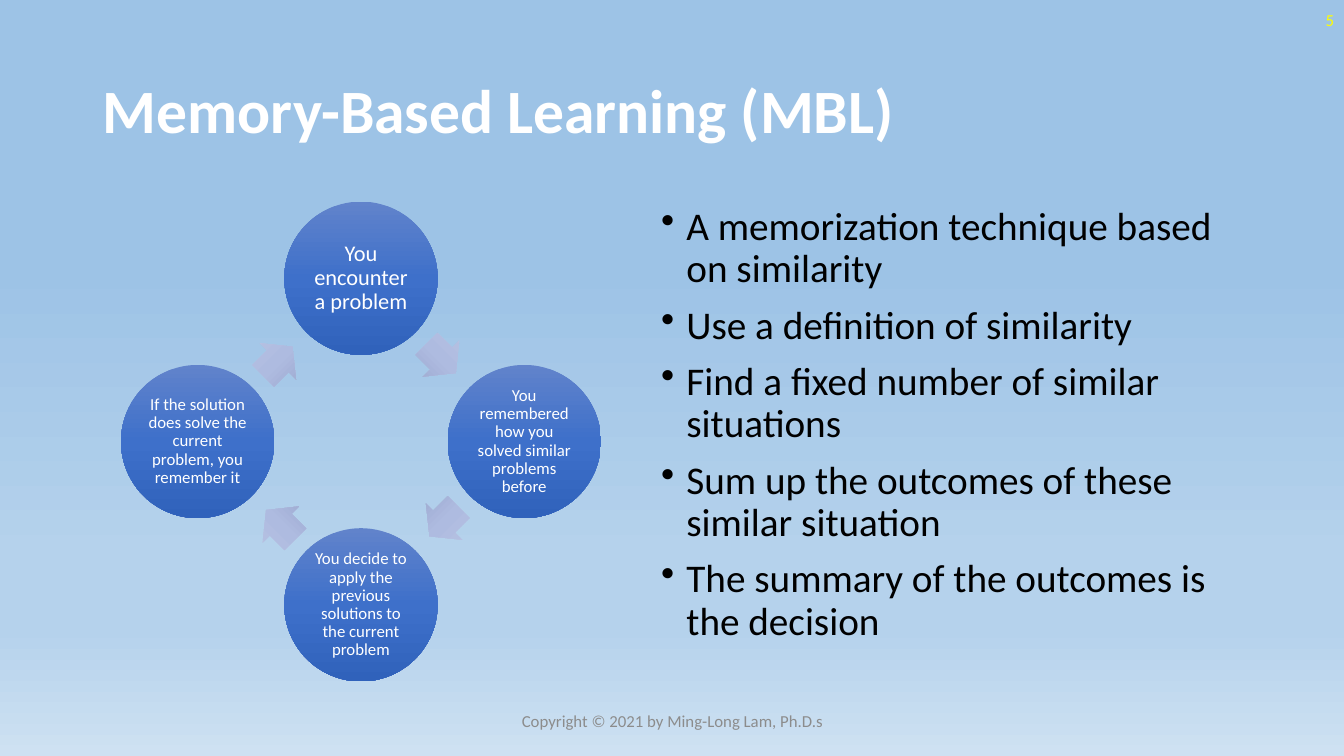
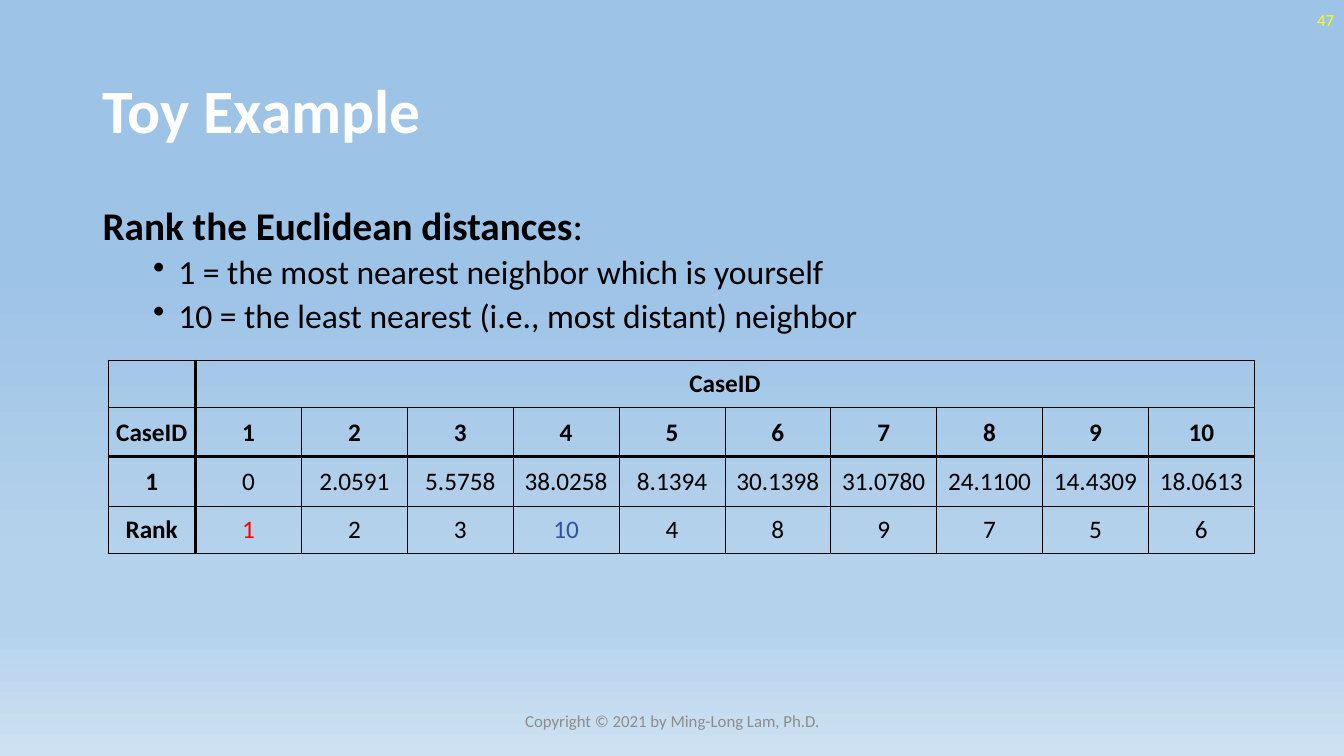
"""Build two slides on memory-based learning: a cycle with bullets and a ranking table."""
import math

import pptx
import pptx.dml.color
import pptx.enum.shapes
import pptx.enum.text
import pptx.oxml
import pptx.oxml.ns
import pptx.util

Inches = pptx.util.Inches
Pt = pptx.util.Pt
ALIGN = pptx.enum.text.PP_ALIGN
ANCHOR = pptx.enum.text.MSO_ANCHOR
SHAPE = pptx.enum.shapes.MSO_SHAPE

COLORS = {
    "white": "FFFFFF",
    "black": "000000",
    "number": "FFFF00",
    "footer": "8C8C8C",
    "nearest": "FF0000",
    "farthest": "2F5597",
}
GRADIENTS = {
    "background": [(35, "9DC3E6"), (74, "B5D2EC"), (83, "B5D2EC"), (100, "CEE1F2")],
    "circle": [(0, "6183CB"), (50, "3E70CA"), (100, "3062BB")],
    "arrow": [(0, "BBC5E3"), (50, "AEBBE0"), (100, "98A4CB")],
}
FONTS = {
    "title": {"size": Pt(44), "bold": True},
    "small": {"size": Pt(12)},
    "large": {"size": Pt(28)},
    "heading": {"size": Pt(28), "bold": True},
    "medium": {"size": Pt(24)},
    "cell": {"size": Pt(18), "bold": False},
    "header": {"size": Pt(18), "bold": True},
    "step": {"size": Pt(16)},
}
TIGHT = {"line_spacing": 0.9}
CENTERED = {"alignment": ALIGN.CENTER}
BULLET = {"line_spacing": 0.9, "space_before": Pt(10)}
SUB_BULLET = {"line_spacing": 0.9, "space_before": Pt(5)}

CYCLE_STEPS = [
    ("You encounter a problem", "step"),
    ("You remembered how you solved similar problems before", "small"),
    ("You decide to apply the previous solutions to the current problem", "small"),
    ("If the solution does solve the current problem, you remember it", "small"),
]
CYCLE_CENTER = (3.58, 4.38)
CYCLE_RADIUS = 1.62
CIRCLE_SIZE = 1.52
ARROW_SIZE = (0.41, 0.51)
ARROW_SETBACK = 0.02

MBL_POINTS = [
    "A memorization technique based on similarity",
    "Use a definition of similarity",
    "Find a fixed number of similar situations",
    "Sum up the outcomes of these similar situation",
    "The summary of the outcomes is the decision",
]
RANK_HEADING = [("Rank the Euclidean distances", "heading"), (":", "large")]
RANK_POINTS = [
    "1 = the most nearest neighbor which is yourself",
    "10 = the least nearest (i.e., most distant) neighbor",
]
DISTANCE_ROWS = [
    ["", "CaseID"] + [""] * 9,
    ["CaseID"] + [str(case) for case in range(1, 11)],
    ["1", "0", "2.0591", "5.5758", "38.0258", "8.1394",
     "30.1398", "31.0780", "24.1100", "14.4309", "18.0613"],
    ["Rank", "1", "2", "3", "10", "4", "8", "9", "7", "5", "6"],
]
COLUMN_WIDTHS = [0.87] + [1.05] * 10
ROW_HEIGHTS = [0.47, 0.49, 0.49, 0.47]
RANK_COLORS = {(3, 1): "nearest", (3, 4): "farthest"}
HEADER_ROWS = 2


def apply_format(target, values):
    for name, value in values.items():
        setattr(target, name, value)


def apply_gradient(owner, fill, name):
    fill.gradient()
    fill.gradient_angle = 270
    stops = next(owner.element.iter(pptx.oxml.ns.qn("a:gsLst")))
    for stop in list(stops):
        stops.remove(stop)
    for position, color in GRADIENTS[name]:
        stops.append(pptx.oxml.parse_xml(
            f'<a:gs {pptx.oxml.ns.nsdecls("a")} pos="{position * 1000}">'
            f'<a:srgbClr val="{color}"/></a:gs>'))


def add_run(paragraph, text, font, color):
    run = paragraph.add_run()
    run.text = text
    apply_format(run.font, {"name": "Calibri", **FONTS[font]})
    run.font.color.rgb = pptx.dml.color.RGBColor.from_string(COLORS[color])


def add_bullet(paragraph, margin):
    properties = paragraph._p.get_or_add_pPr()
    properties.set("marL", str(Inches(margin)))
    properties.set("indent", str(Inches(-0.25)))
    properties.append(pptx.oxml.parse_xml(
        f'<a:buChar {pptx.oxml.ns.nsdecls("a")} char="•"/>'))


def add_text_box(slide, left, top, width, height, anchor):
    box = slide.shapes.add_textbox(*map(Inches, (left, top, width, height)))
    apply_format(box.text_frame, {"word_wrap": True, "vertical_anchor": anchor})
    return box.text_frame


def add_label(slide, area, text, color, alignment):
    paragraph = add_text_box(slide, *area, ANCHOR.MIDDLE).paragraphs[0]
    paragraph.alignment = alignment
    add_run(paragraph, text, "small", color)


def add_titled_slide(presentation, title, number, copyright_line):
    slide = presentation.slides.add_slide(presentation.slide_layouts[5])
    placeholder = slide.shapes.title
    apply_format(placeholder, {"left": Inches(0.92), "top": Inches(0.4),
                               "width": Inches(11.5), "height": Inches(1.45)})
    apply_format(placeholder.text_frame, {"vertical_anchor": ANCHOR.MIDDLE,
                                          "auto_size": pptx.enum.text.MSO_AUTO_SIZE.NONE})
    paragraph = placeholder.text_frame.paragraphs[0]
    apply_format(paragraph, {**TIGHT, "alignment": ALIGN.LEFT})
    add_run(paragraph, title, "title", "white")
    add_label(slide, (10.33, 0, 3, 0.4), number, "number", ALIGN.RIGHT)
    add_label(slide, (4.42, 6.95, 4.5, 0.4), copyright_line, "footer", ALIGN.CENTER)
    return slide


def add_cycle_shape(slide, kind, center, size, gradient):
    corner = [middle - length / 2 for middle, length in zip(center, size)]
    shape = slide.shapes.add_shape(kind, *map(Inches, (*corner, *size)))
    shape.shadow.inherit = False
    shape.line.fill.background()
    apply_gradient(shape, shape.fill, gradient)
    return shape


def add_cycle(slide):
    center_x, center_y = CYCLE_CENTER
    for index, (text, font) in enumerate(CYCLE_STEPS):
        angle = math.radians(90 * index - 90)
        center = (center_x + CYCLE_RADIUS * math.cos(angle),
                  center_y + CYCLE_RADIUS * math.sin(angle))
        circle = add_cycle_shape(slide, SHAPE.OVAL, center, (CIRCLE_SIZE, CIRCLE_SIZE), "circle")
        frame = circle.text_frame
        apply_format(frame, {"word_wrap": True, "vertical_anchor": ANCHOR.MIDDLE})
        apply_format(frame, {f"margin_{side}": Inches(0.02)
                             for side in ("left", "top", "right", "bottom")})
        paragraph = frame.paragraphs[0]
        apply_format(paragraph, {**TIGHT, **CENTERED})
        add_run(paragraph, text, font, "white")

        heading = 45 + 90 * index
        direction = math.radians(heading)
        distance = CYCLE_RADIUS / math.sqrt(2)
        middle = (center_x + distance * math.sin(direction) - ARROW_SETBACK * math.cos(direction),
                  center_y - distance * math.cos(direction) - ARROW_SETBACK * math.sin(direction))
        arrow = add_cycle_shape(slide, SHAPE.RIGHT_ARROW, middle, ARROW_SIZE, "arrow")
        arrow.rotation = heading
        arrow.adjustments[0], arrow.adjustments[1] = 0.6, 0.5


def add_points(slide):
    frame = add_text_box(slide, 6.46, 2, 6.03, 4.76, ANCHOR.TOP)
    for index, text in enumerate(MBL_POINTS):
        paragraph = frame.add_paragraph() if index else frame.paragraphs[0]
        apply_format(paragraph, BULLET if index else TIGHT)
        add_bullet(paragraph, 0.25)
        add_run(paragraph, text, "large", "black")


def add_rank_notes(slide):
    frame = add_text_box(slide, 0.92, 2, 11.5, 1.5, ANCHOR.TOP)
    heading = frame.paragraphs[0]
    apply_format(heading, TIGHT)
    for text, font in RANK_HEADING:
        add_run(heading, text, font, "black")
    for text in RANK_POINTS:
        paragraph = frame.add_paragraph()
        apply_format(paragraph, {**SUB_BULLET, "level": 1})
        add_bullet(paragraph, 0.75)
        add_run(paragraph, text, "medium", "black")


def add_borders(cell, row, column):
    thick_sides = {"L": column == 1, "R": column == 0,
                   "T": row == HEADER_ROWS, "B": row == HEADER_ROWS - 1}
    properties = cell._tc.get_or_add_tcPr()
    for side, thick in thick_sides.items():
        properties.append(pptx.oxml.parse_xml(
            f'<a:ln{side} {pptx.oxml.ns.nsdecls("a")} w="{Pt(2 if thick else 0.5)}">'
            f'<a:solidFill><a:srgbClr val="{COLORS["black"]}"/></a:solidFill></a:ln{side}>'))


def add_distance_table(slide):
    table = slide.shapes.add_table(
        len(ROW_HEIGHTS), len(COLUMN_WIDTHS), Inches(1.07), Inches(3.57),
        Inches(sum(COLUMN_WIDTHS)), Inches(sum(ROW_HEIGHTS))).table
    apply_format(table, {"first_row": False, "horz_banding": False})
    for column, width in zip(table.columns, COLUMN_WIDTHS):
        column.width = Inches(width)
    for row, height in zip(table.rows, ROW_HEIGHTS):
        row.height = Inches(height)
    for row, texts in enumerate(DISTANCE_ROWS):
        for column, text in enumerate(texts):
            cell = table.cell(row, column)
            add_borders(cell, row, column)
            cell.fill.background()
            apply_format(cell, {"vertical_anchor": ANCHOR.MIDDLE, "margin_left": Inches(0.01),
                                "margin_top": Inches(0.01), "margin_right": Inches(0.01),
                                "margin_bottom": 0})
            if text:
                paragraph = cell.text_frame.paragraphs[0]
                apply_format(paragraph, CENTERED)
                font = "header" if row < HEADER_ROWS or column == 0 else "cell"
                add_run(paragraph, text, font, RANK_COLORS.get((row, column), "black"))
    table.cell(0, 1).merge(table.cell(0, len(COLUMN_WIDTHS) - 1))


def main():
    presentation = pptx.Presentation()
    apply_format(presentation, {"slide_width": Inches(13.33), "slide_height": Inches(7.5)})
    master = presentation.slide_master
    apply_gradient(master, master.background.fill, "background")

    learning_slide = add_titled_slide(presentation, "Memory-Based Learning (MBL)", "5",
                                      "Copyright © 2021 by Ming-Long Lam, Ph.D.s")
    add_cycle(learning_slide)
    add_points(learning_slide)

    example_slide = add_titled_slide(presentation, "Toy Example", "47",
                                     "Copyright © 2021 by Ming-Long Lam, Ph.D.")
    add_rank_notes(example_slide)
    add_distance_table(example_slide)
    presentation.save("out.pptx")


if __name__ == "__main__":
    main()
